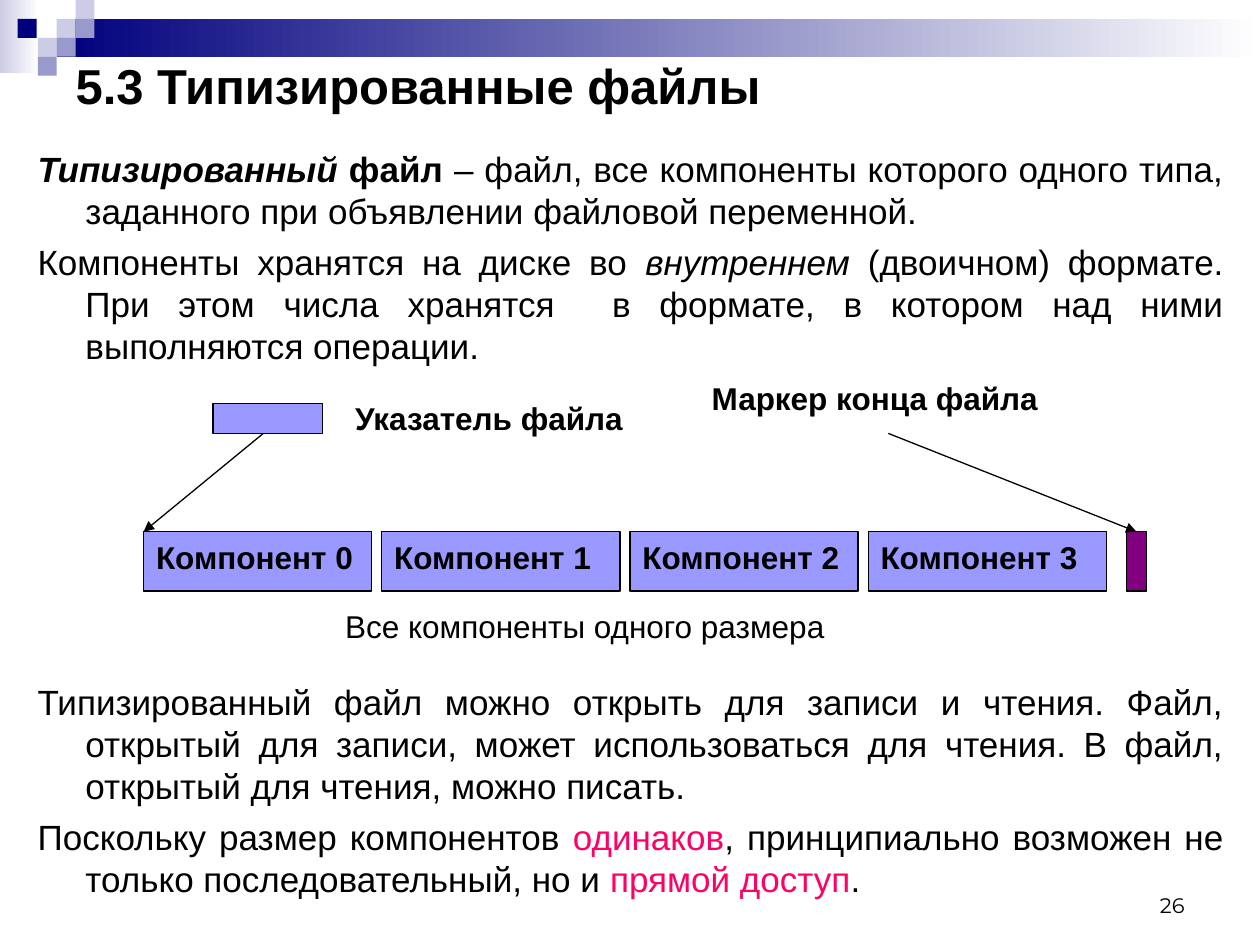
import pptx
import pptx.util
import pptx.dml.color
import pptx.enum.shapes
import pptx.enum.text
import pptx.oxml.ns
import lxml.etree

Inches = pptx.util.Inches
Pt = pptx.util.Pt
Align = pptx.enum.text.PP_ALIGN
Anchor = pptx.enum.text.MSO_ANCHOR

COLORS = {
    "black": "000000", "white": "FFFFFF", "navy": "00007D",
    "pale": "CCCCE6", "mid": "9999CC", "block": "9999FF",
    "mark": "800080", "pink": "FF0066",
}


def rgb(name):
    return pptx.dml.color.RGBColor.from_string(COLORS[name])


class Board:
    font = "Arial"
    line = 0.75

    def __init__(self, slide):
        self.slide = slide

    def run(self, para, text, size, bold=False, slant=False, color="black", font=None):
        run = para.add_run()
        run.text = text
        run.font.name = font or self.font
        run.font.size = Pt(size)
        run.font.bold = bold
        run.font.italic = slant
        run.font.color.rgb = rgb(color)

    def frame(self, shape, anchor=Anchor.TOP):
        frame = shape.text_frame
        frame.word_wrap = True
        frame.vertical_anchor = anchor
        frame.margin_left = frame.margin_right = Inches(0.1)
        frame.margin_top = frame.margin_bottom = Inches(0.05)
        return frame

    def title(self, text, box):
        shape = self.slide.shapes.title
        shape.left, shape.top, shape.width, shape.height = map(Inches, box)
        para = self.frame(shape, Anchor.MIDDLE).paragraphs[0]
        para.alignment = Align.LEFT
        self.run(para, text, 28, bold=True)

    def rect(self, box, color, fade=False, edge=False):
        kind = pptx.enum.shapes.MSO_SHAPE.RECTANGLE
        shape = self.slide.shapes.add_shape(kind, *map(Inches, box))
        shape.shadow.inherit = False
        if fade:
            shape.fill.gradient()
            shape.fill.gradient_angle = 0
            for stop, place, tint in zip(shape.fill.gradient_stops, (0, 1), (color, "white")):
                stop.position = place
                stop.color.rgb = rgb(tint)
        else:
            shape.fill.solid()
            shape.fill.fore_color.rgb = rgb(color)
        if edge:
            shape.line.color.rgb = rgb("black")
            shape.line.width = Pt(self.line)
        else:
            shape.line.fill.background()
        return shape

    def block(self, box, text):
        shape = self.rect(box, "block", edge=True)
        para = self.frame(shape).paragraphs[0]
        para.alignment = Align.LEFT
        self.run(para, text, 18, bold=True)

    def label(self, box, text, size=18, bold=False, align=Align.LEFT, anchor=Anchor.TOP, font=None):
        shape = self.slide.shapes.add_textbox(*map(Inches, box))
        para = self.frame(shape, anchor).paragraphs[0]
        para.alignment = align
        self.run(para, text, size, bold=bold, font=font)

    def prose(self, box, paras):
        frame = self.frame(self.slide.shapes.add_textbox(*map(Inches, box)))
        for i, runs in enumerate(paras):
            para = frame.add_paragraph() if i else frame.paragraphs[0]
            para.alignment = Align.JUSTIFY
            if i:
                para.space_before = Pt(5)
            props = para._p.get_or_add_pPr()
            props.set("marL", str(Inches(0.38)))
            props.set("indent", str(-Inches(0.38)))
            for text, style in runs:
                self.run(para, text, 20, **style)

    def arrow(self, start, end):
        kind = pptx.enum.shapes.MSO_CONNECTOR.STRAIGHT
        link = self.slide.shapes.add_connector(kind, *map(Inches, start + end))
        link.line.color.rgb = rgb("black")
        link.line.width = Pt(self.line)
        qn = pptx.oxml.ns.qn
        tip = lxml.etree.SubElement(link.line._get_or_add_ln(), qn("a:tailEnd"))
        tip.set("type", "triangle")
        lxml.etree.SubElement(link._element.spPr, qn("a:effectLst"))


def main():
    deck = pptx.Presentation()
    deck.slide_width, deck.slide_height = Inches(10), Inches(7.5)
    board = Board(deck.slides.add_slide(deck.slide_layouts[5]))

    board.rect((0, 0, 0.31, 0.58), "pale", fade=True)
    board.rect((0.45, 0.15, 9.55, 0.3), "navy", fade=True)
    side = 0.15
    for left, top, color in (
        (0.45, 0.15, "pale"), (0.6, 0, "pale"), (0.6, 0.15, "mid"),
        (0.3, 0.3, "pale"), (0.14, 0.15, "navy"), (0.45, 0.3, "mid"),
        (0.3, 0.45, "mid"),
    ):
        board.rect((left, top, side, side), color)

    board.title("5.3 Типизированные файлы", (0.5, 0.44, 9, 0.47))
    board.prose((0.2, 1.12, 9.61, 1.9), [
        [("Типизированный", {"bold": True, "slant": True}),
         (" файл", {"bold": True}),
         (" – файл, все компоненты которого одного типа, "
          "заданного при объявлении файловой переменной.", {})],
        [("Компоненты хранятся на диске во ", {}),
         ("внутреннем ", {"slant": True}),
         ("(двоичном) формате. При этом числа хранятся  в формате, "
          "в котором над ними выполняются операции.", {})],
    ])
    board.prose((0.2, 5.35, 9.61, 1.9), [
        [("Типизированный файл можно открыть для записи и чтения. "
          "Файл, открытый для записи, может использоваться для чтения. "
          "В файл, открытый для чтения, можно писать.", {})],
        [("Поскольку размер компонентов", {}),
         (" одинаков", {"color": "pink"}),
         (", принципиально возможен не только последовательный, но и", {}),
         (" прямой доступ", {"color": "pink"}),
         (".", {})],
    ])

    top, high, gap = 4.22, 0.47, 0.08
    left = 1.14
    for i, wide in enumerate((1.81, 1.89) * 2):
        board.block((left, top, wide, high), f"Компонент {i}")
        left += wide + gap
    board.rect((8.94, top, 0.16, high), "mark", edge=True)
    board.rect((1.69, 3.2, 0.87, 0.24), "block", edge=True)
    board.arrow((2.09, 3.44), (1.14, top))
    board.arrow((7.05, 3.44), (9.02, top))
    board.label((2.72, 3.12, 2.6, 0.4), "Указатель файла", bold=True)
    board.label((5.55, 2.96, 3.62, 0.4), "Маркер конца файла", bold=True)
    board.label((2.64, 4.77, 4.21, 0.4), "Все компоненты одного размера")
    board.label((7.17, 6.83, 2.33, 0.5), "26", size=12, align=Align.RIGHT,
                anchor=Anchor.BOTTOM, font="Montserrat")
    deck.save("out.pptx")


if __name__ == "__main__":
    main()
